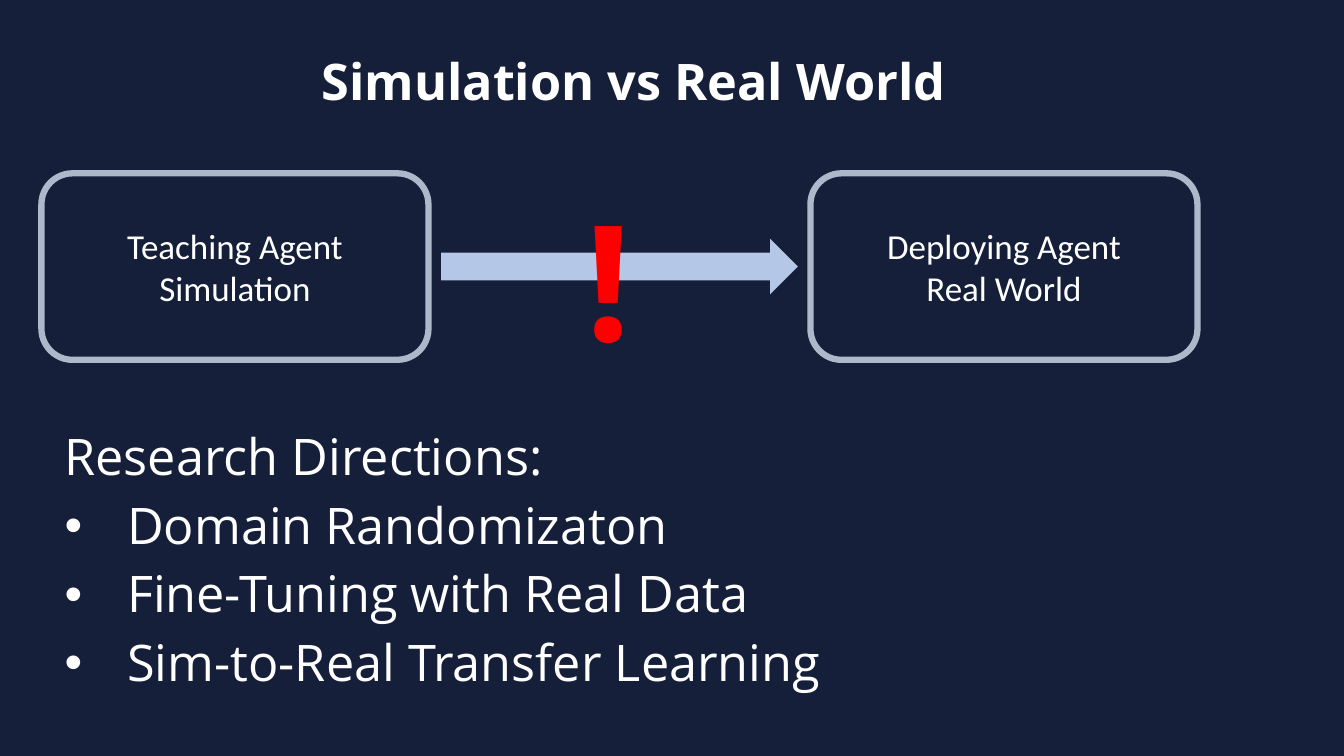
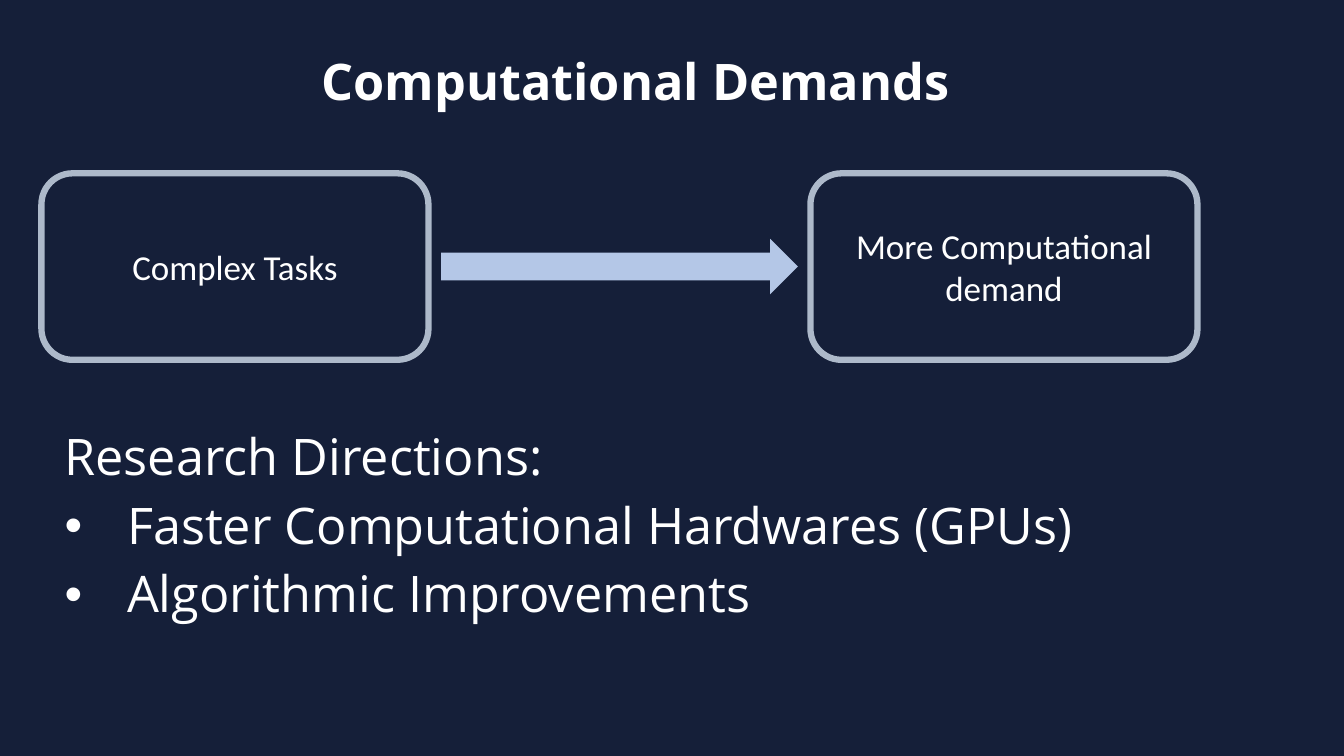
from lxml import etree
from pptx import Presentation
from pptx.dml.color import RGBColor
from pptx.enum.shapes import MSO_SHAPE
from pptx.enum.text import MSO_ANCHOR, MSO_AUTO_SIZE, PP_ALIGN
from pptx.oxml.ns import qn
from pptx.util import Inches, Pt

ROUNDED = MSO_SHAPE.ROUNDED_RECTANGLE
ARROW = MSO_SHAPE.RIGHT_ARROW
MIDDLE, TOP = MSO_ANCHOR.MIDDLE, MSO_ANCHOR.TOP
CENTER, LEFT = PP_ALIGN.CENTER, PP_ALIGN.LEFT
NO_AUTOFIT = MSO_AUTO_SIZE.NONE

COLORS = {
    "night": "151F39",
    "text": "FFFFFF",
    "outline": "ADB9CA",
    "arrow": "B4C7E7",
    "warning": "FF0000",
}
HEADING_FONT, STAGE_FONT = "Open Sans", "Calibri"
BULLET_INDENT = Inches(0.62)

STAGE_TOP, STAGE_WIDTH, STAGE_HEIGHT = 22.93, 28.8, 24.67
STAGE_LEFTS = (3.08, 60.3)
ARROW_WIDTH, ARROW_HEIGHT = 26.55, 7.33
GAP_CENTER = (STAGE_LEFTS[0] + STAGE_WIDTH + STAGE_LEFTS[1]) / 2
STAGE_MIDDLE = STAGE_TOP + STAGE_HEIGHT / 2

TOPICS = [
    {
        "title": "Simulation vs Real World",
        "stages": [["Teaching Agent", "Simulation"], ["Deploying Agent", "Real World"]],
        "warning": "!",
        "directions": ["Domain Randomizaton", "Fine-Tuning with Real Data",
                       "Sim-to-Real Transfer Learning"],
        "directions_height": 37.73,
    },
    {
        "title": "Computational Demands",
        "stages": [["Complex Tasks"], ["More Computational demand"]],
        "warning": None,
        "directions": ["Faster Computational Hardwares (GPUs)", "Algorithmic Improvements"],
        "directions_height": 30.53,
    },
]

prs = Presentation()
prs.slide_width, prs.slide_height = Inches(13.33), Inches(7.5)
backdrop = prs.slide_master.background.fill
backdrop.solid()
backdrop.fore_color.rgb = RGBColor.from_string(COLORS["night"])


def share(left, top, width, height):
    return [round(part * whole / 100) for part, whole in zip(
        (left, top, width, height), (prs.slide_width, prs.slide_height) * 2)]


def write(frame, lines, font, size, color, align, anchor, bold=False, spacing=None):
    frame.word_wrap = True
    frame.auto_size = NO_AUTOFIT
    frame.vertical_anchor = anchor
    for number, line in enumerate(lines):
        paragraph = frame.add_paragraph() if number else frame.paragraphs[0]
        paragraph.alignment = align
        if spacing:
            paragraph.line_spacing = spacing
        run = paragraph.add_run()
        run.text = line
        run.font.name, run.font.size, run.font.bold = font, Pt(size), bold
        run.font.color.rgb = RGBColor.from_string(COLORS[color])


for topic in TOPICS:
    slide = prs.slides.add_slide(prs.slide_layouts[1])
    title, directions = slide.placeholders

    title.left, title.top, title.width, title.height = share(23.18, 7.07, 74.33, 8.13)
    write(title.text_frame, [topic["title"]], HEADING_FONT, 36, "text", LEFT, MIDDLE,
          bold=True, spacing=0.9)

    for left, lines in zip(STAGE_LEFTS, topic["stages"]):
        stage = slide.shapes.add_shape(
            ROUNDED, *share(left, STAGE_TOP, STAGE_WIDTH, STAGE_HEIGHT))
        stage.shadow.inherit = False
        stage.fill.background()
        stage.line.color.rgb = RGBColor.from_string(COLORS["outline"])
        stage.line.width = Pt(4.5)
        write(stage.text_frame, lines, STAGE_FONT, 25, "text", CENTER, MIDDLE)

    transition = slide.shapes.add_shape(ARROW, *share(
        GAP_CENTER - ARROW_WIDTH / 2, STAGE_MIDDLE - ARROW_HEIGHT / 2,
        ARROW_WIDTH, ARROW_HEIGHT))
    transition.shadow.inherit = False
    transition.fill.solid()
    transition.fill.fore_color.rgb = RGBColor.from_string(COLORS["arrow"])
    transition.line.fill.background()

    if topic["warning"]:
        warning = slide.shapes.add_textbox(*share(43.16, 28.13, 4.28, 20.27))
        warning.text_frame.margin_left = warning.text_frame.margin_right = 0
        write(warning.text_frame, [topic["warning"]], HEADING_FONT, 115, "warning",
              CENTER, MIDDLE, bold=True, spacing=0.9)

    directions.left, directions.top, directions.width, directions.height = share(
        4.05, 56.53, 86.25, topic["directions_height"])
    write(directions.text_frame, ["Research Directions:", *topic["directions"]],
          HEADING_FONT, 36, "text", LEFT, TOP, spacing=0.9)
    for number, paragraph in enumerate(directions.text_frame.paragraphs):
        paragraph.space_before = Pt(10)
        indent = BULLET_INDENT if number else 0
        properties = paragraph._p.get_or_add_pPr()
        properties.set("marL", str(indent))
        properties.set("indent", str(-indent))
        if number:
            etree.SubElement(properties, qn("a:buFont")).set("typeface", "Arial")
            etree.SubElement(properties, qn("a:buChar")).set("char", "•")
        else:
            etree.SubElement(properties, qn("a:buNone"))

prs.save("out.pptx")
